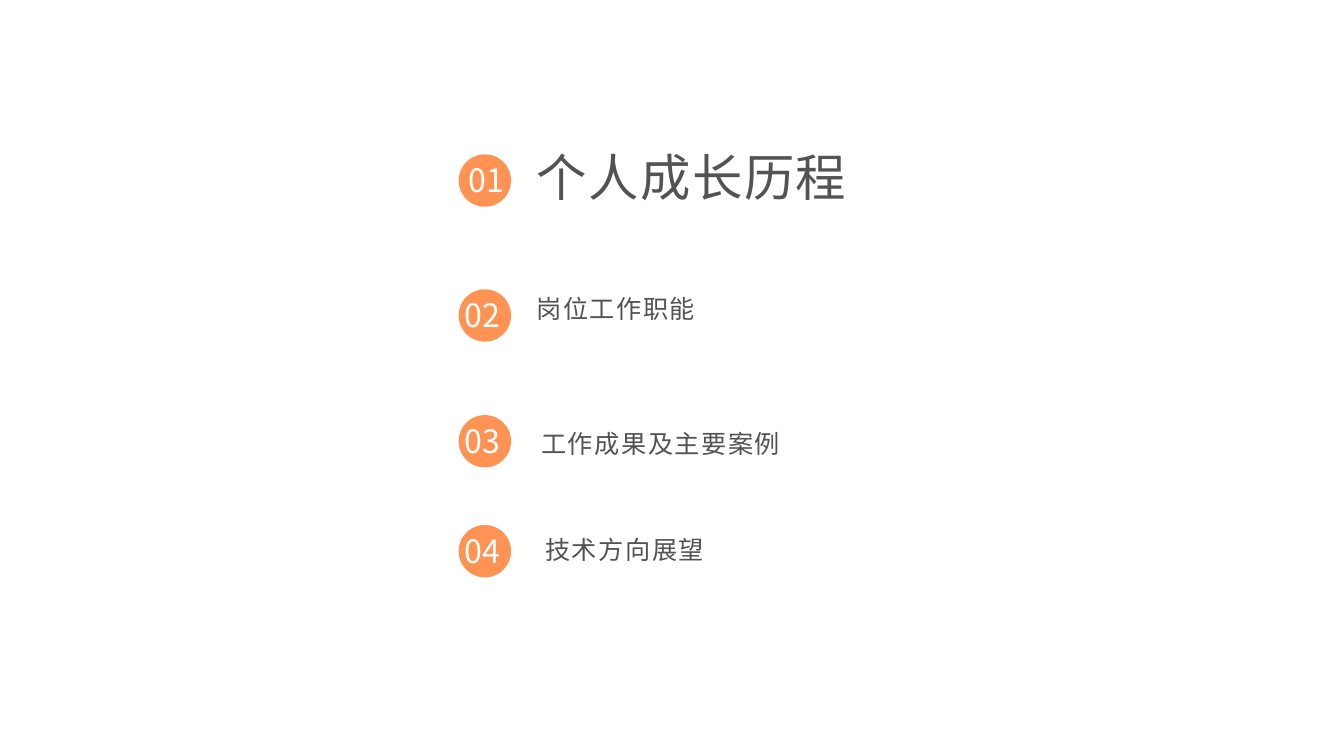
from pptx import Presentation
from pptx.dml.color import RGBColor
from pptx.enum.shapes import MSO_SHAPE
from pptx.enum.text import MSO_ANCHOR
from pptx.oxml.ns import qn
from pptx.util import Cm, Pt

ORANGE = "FF9354"
GRAY = "535353"
WHITE = "FFFFFF"
CJK_FONT = "Noto Sans CJK SC"

BADGE_LEFT = 11.56
BADGE_SIZE = 1.32
INSET = 0.13

# number, number left, badge top, title, title left, title top, title width, title size
CHAPTERS = [
    ("01", 11.68, 3.89, "个人成长历程", 13.39, 3.45, 10.9, 36),
    ("02", 11.58, 7.29, "岗位工作职能", 13.39, 6.78, 10.9, 18),
    ("03", 11.58, 10.46, "工作成果及主要案例", 13.51, 10.16, 12.55, 18),
    ("04", 11.58, 13.23, "技术方向展望", 13.61, 12.85, 12.55, 18),
]


def rgb(color):
    return RGBColor.from_string(color)


def add_text(slide, text, left, top, width, height, *, size, color,
             font=CJK_FONT, spacing=0):
    """Add a middle-anchored line of text; lengths in cm, spacing in points."""
    box = slide.shapes.add_textbox(Cm(left), Cm(top), Cm(width), Cm(height))
    frame = box.text_frame
    frame.word_wrap = True
    frame.vertical_anchor = MSO_ANCHOR.MIDDLE
    frame.margin_left = frame.margin_right = Cm(INSET)
    frame.margin_top = frame.margin_bottom = Cm(INSET)
    run = frame.paragraphs[0].add_run()
    run.text = text
    run.font.name = font
    run.font.size = Pt(size)
    run.font.color.rgb = rgb(color)
    properties = run.font._element
    east_asian = properties.makeelement(qn("a:ea"), {"typeface": CJK_FONT})
    properties.find(qn("a:latin")).addnext(east_asian)
    if spacing:
        properties.set("spc", str(round(spacing * 100)))


def add_badge(slide, number, number_left, top):
    circle = slide.shapes.add_shape(MSO_SHAPE.OVAL, Cm(BADGE_LEFT), Cm(top),
                                    Cm(BADGE_SIZE), Cm(BADGE_SIZE))
    circle.shadow.inherit = False
    circle.fill.solid()
    circle.fill.fore_color.rgb = rgb(ORANGE)
    circle.line.fill.background()
    add_text(slide, number, number_left, top - 0.05, 1.98, 1.37,
             size=23, color=WHITE)


def main():
    deck = Presentation()
    deck.slide_width, deck.slide_height = Cm(33.87), Cm(19.05)
    slide = deck.slides.add_slide(deck.slide_layouts[6])
    for number, number_left, badge_top, title, left, top, width, size in CHAPTERS:
        add_badge(slide, number, number_left, badge_top)
        add_text(slide, title, left, top, width, 2.01,
                 size=size, color=GRAY, font="Arial", spacing=1.1)
    deck.save("out.pptx")


if __name__ == "__main__":
    main()
